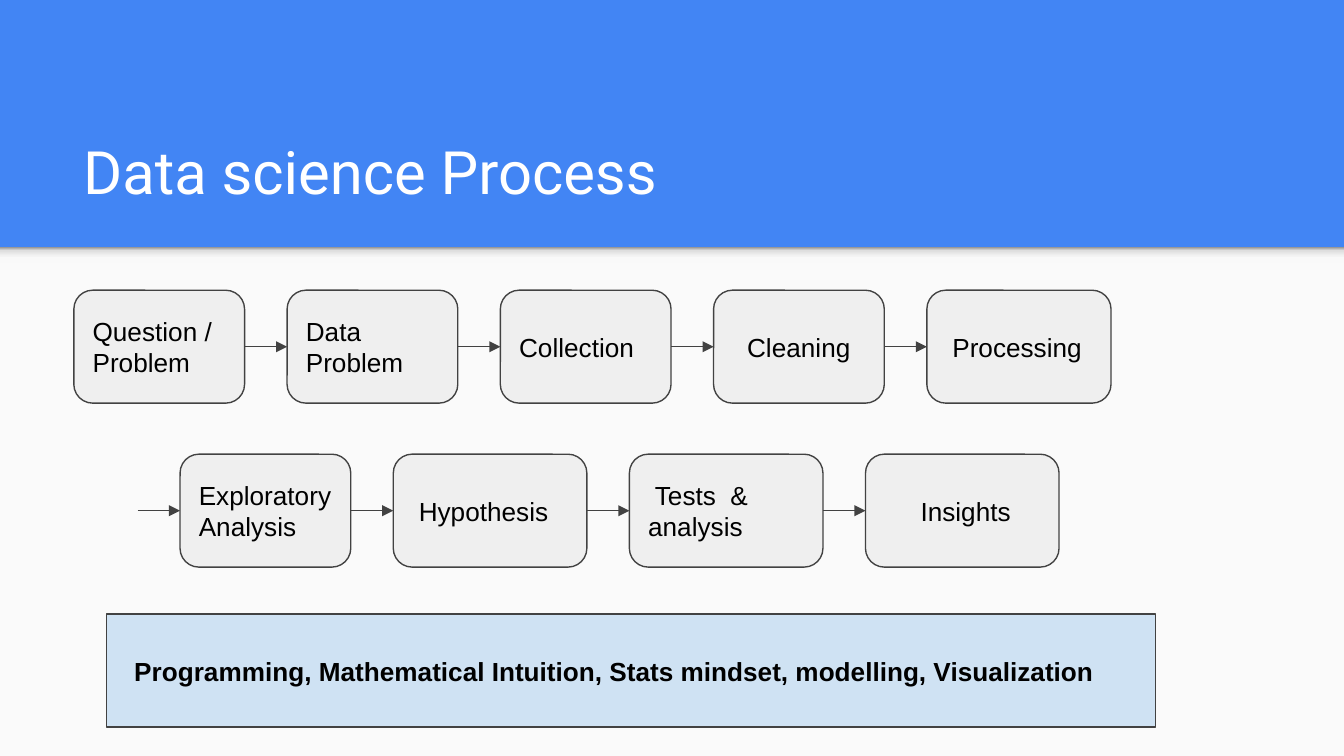
import pptx
import pptx.util
import pptx.dml.color
import pptx.enum.shapes
import pptx.enum.text
import pptx.oxml
import pptx.oxml.ns

Inches = pptx.util.Inches
RGBColor = pptx.dml.color.RGBColor
SHAPES = pptx.enum.shapes.MSO_SHAPE
ANCHORS = pptx.enum.text.MSO_ANCHOR
NAMESPACE = pptx.oxml.ns.nsdecls("a")

THEME = {
    "header": RGBColor.from_string("4285F4"),
    "body": RGBColor.from_string("FAFAFA"),
    "box": RGBColor.from_string("EFEFEF"),
    "skills": RGBColor.from_string("CFE2F3"),
    "line": RGBColor.from_string("424242"),
    "line_width": pptx.util.Pt(0.75),
    "shadow_stops": [(0, "F9F9F9"), (36, "F9F9F9"), (80, "DEDEDE"), (100, "999999")],
    "title": {"name": "Roboto", "size": pptx.util.Pt(32),
              "color": RGBColor.from_string("FFFFFF")},
    "label": {"name": "Arial", "size": pptx.util.Pt(14),
              "color": RGBColor.from_string("000000")},
    "strong": {"name": "Arial", "size": pptx.util.Pt(14), "bold": True,
               "color": RGBColor.from_string("000000")},
}


def write_text(shape, text, style, anchor, indent=0):
    """Fill a shape with left-aligned text, one paragraph a line."""
    frame = shape.text_frame
    settings = {"word_wrap": True, "vertical_anchor": anchor}
    for side in ("left", "top", "right", "bottom"):
        settings["margin_" + side] = Inches(0.1)
    for name, value in settings.items():
        setattr(frame, name, value)
    frame.text = text
    for paragraph in frame.paragraphs:
        paragraph.alignment = pptx.enum.text.PP_ALIGN.LEFT
        paragraph._p.get_or_add_pPr().set("indent", str(Inches(indent)))
        font = paragraph.runs[0].font
        for name, value in THEME[style].items():
            if name == "color":
                font.color.rgb = value
            else:
                setattr(font, name, value)


def add_block(kind, left, top, width, height, color, outlined=True):
    """Add a flat filled shape, with or without the thin outline."""
    shape = slide.shapes.add_shape(kind, left, top, width, height)
    shape.shadow.inherit = False
    shape.fill.solid()
    shape.fill.fore_color.rgb = THEME[color]
    if outlined:
        shape.line.color.rgb = THEME["line"]
        shape.line.width = THEME["line_width"]
    else:
        shape.line.fill.background()
    return shape


# Widescreen slide, 16 to 9
presentation = pptx.Presentation()
slide_width = Inches(10)
slide_height = slide_width * 9 // 16
presentation.slide_width = slide_width
presentation.slide_height = slide_height
slide = presentation.slides.add_slide(presentation.slide_layouts[6])

# Blue header with the light body below it
header_height = Inches(1.84)
slide.background.fill.solid()
slide.background.fill.fore_color.rgb = THEME["header"]
add_block(SHAPES.RECTANGLE, 0, header_height, slide_width, slide_height - header_height,
          "body", False)

# Soft shadow under the header, darkest at its top edge
shadow = add_block(SHAPES.RECTANGLE, 0, header_height, slide_width, Inches(0.12), "body", False)
stops = "".join(
    f'<a:gs pos="{position * 1000}"><a:srgbClr val="{color}"/></a:gs>'
    for position, color in THEME["shadow_stops"])
gradient = pptx.oxml.parse_xml(
    f'<a:gradFill {NAMESPACE}><a:gsLst>{stops}</a:gsLst>'
    '<a:lin ang="16200000" scaled="0"/></a:gradFill>')
properties = shadow._element.spPr
properties.replace(properties.find(pptx.oxml.ns.qn("a:solidFill")), gradient)

# Title
title = slide.shapes.add_textbox(Inches(0.52), Inches(0.8), Inches(8.99), Inches(0.84))
write_text(title, "Data science Process", "title", ANCHORS.BOTTOM)

# Process steps: (text, width, first-line indent), chained along each row
gap = Inches(0.95) // 3
box_height = Inches(0.84)
rows = [
    {"left": 0.55, "top": 2.16, "entry_arrow": False, "steps": [
        ("Question / Problem", 1.27, 0), ("Data Problem", 1.27, 0),
        ("Collection", 1.27, 0), ("Cleaning", 1.27, 0.11),
        ("Processing", 1.37, 0.05)]},
    {"left": 1.34, "top": 3.38, "entry_arrow": True, "steps": [
        ("Exploratory\nAnalysis", 1.27, 0), ("Hypothesis", 1.44, 0.05),
        ("Tests  & analysis", 1.44, 0.05), ("Insights", 1.44, 0.27)]},
]
for row in rows:
    left, top = Inches(row["left"]), Inches(row["top"])
    previous = None
    for text, width, indent in row["steps"]:
        box = add_block(SHAPES.ROUNDED_RECTANGLE, left, top, Inches(width), box_height, "box")
        write_text(box, text, "label", ANCHORS.MIDDLE, indent)

        # Arrow into the box, from the box before it if there is one
        if previous is not None or row["entry_arrow"]:
            middle = top + box_height // 2
            arrow = slide.shapes.add_connector(
                pptx.enum.shapes.MSO_CONNECTOR.STRAIGHT, left - gap, middle, left, middle)
            if previous is not None:
                arrow.begin_connect(previous, 3)
            arrow.end_connect(box, 1)
            arrow.line.color.rgb = THEME["line"]
            arrow.line.width = THEME["line_width"]
            arrow.line._get_or_add_ln().append(
                pptx.oxml.parse_xml(f'<a:tailEnd {NAMESPACE} type="triangle"/>'))
            arrow._element.spPr.append(pptx.oxml.parse_xml(f"<a:effectLst {NAMESPACE}/>"))

        previous = box
        left += Inches(width) + gap

# Skills bar
skills = add_block(SHAPES.RECTANGLE, Inches(0.79), Inches(4.57), Inches(7.81), box_height, "skills")
write_text(skills, "Programming, Mathematical Intuition, Stats mindset, modelling, Visualization",
           "strong", ANCHORS.MIDDLE, 0.11)

presentation.save("out.pptx")
